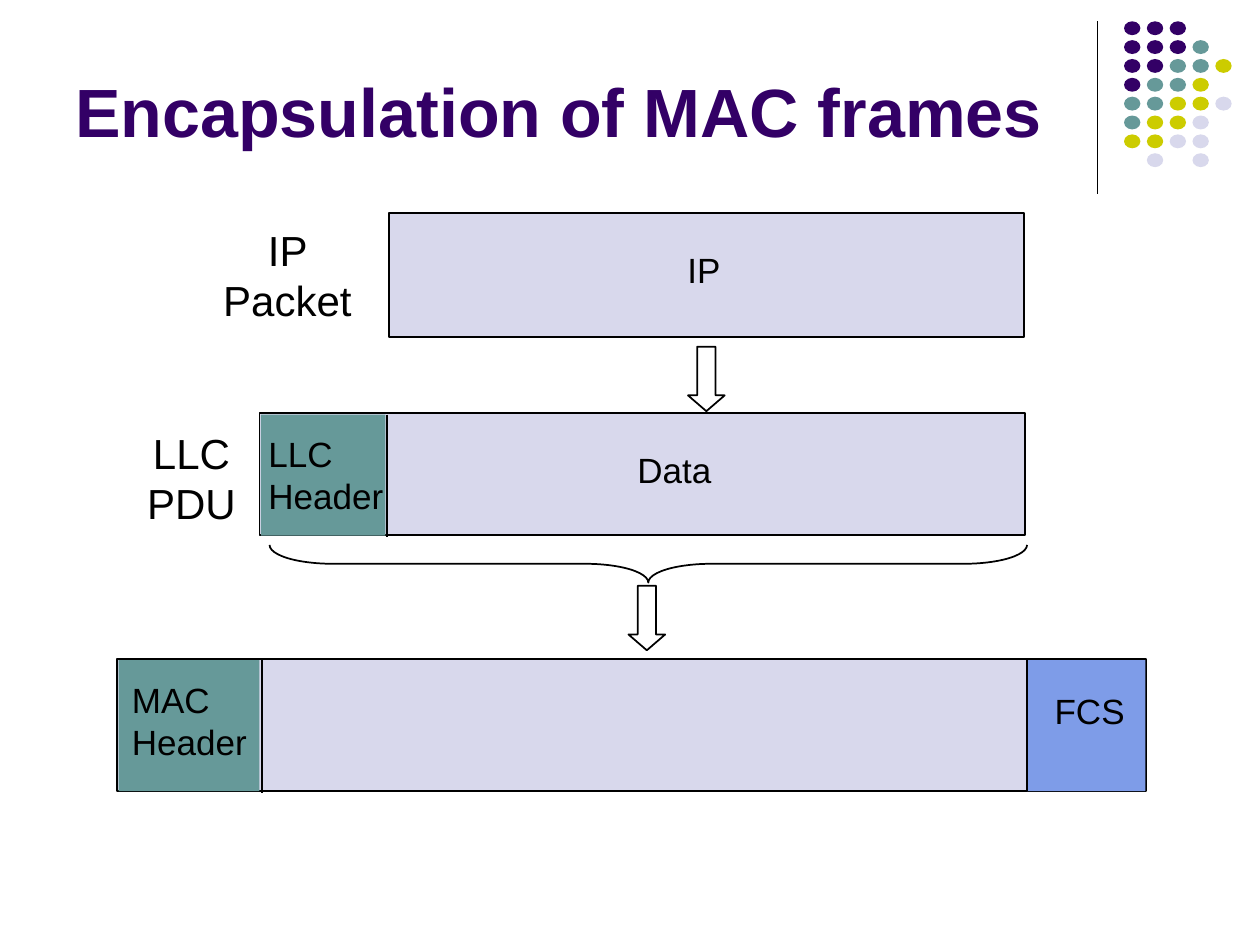
"""Build a slide on how IP packets are encapsulated in MAC frames."""
from lxml.etree import SubElement
from pptx import Presentation
from pptx.dml.color import RGBColor
from pptx.enum.shapes import MSO_CONNECTOR as CONNECTOR, MSO_SHAPE as SHAPE
from pptx.enum.text import MSO_ANCHOR as ANCHOR, PP_ALIGN as ALIGN
from pptx.oxml.ns import qn
from pptx.util import Cm, Pt

BLACK = RGBColor(0x00, 0x00, 0x00)
WHITE = RGBColor(0xFF, 0xFF, 0xFF)
PURPLE = RGBColor(0x33, 0x00, 0x66)
TEAL = RGBColor(0x66, 0x99, 0x99)
OLIVE = RGBColor(0xCC, 0xCC, 0x00)
LAVENDER = RGBColor(0xD8, 0xD8, 0xEC)
BLUE = RGBColor(0x7E, 0x9C, 0xE8)

presentation = Presentation()
presentation.slide_width = Cm(25.4)
presentation.slide_height = Cm(19.05)
slide = presentation.slides.add_slide(presentation.slide_layouts[6])


def add_figure(kind, box, fill=None, outlined=False):
    figure = slide.shapes.add_shape(kind, *map(Cm, box))
    figure.shadow.inherit = False
    if fill is None:
        figure.fill.background()
    else:
        figure.fill.solid()
        figure.fill.fore_color.rgb = fill
    if outlined:
        figure.line.color.rgb = BLACK
        figure.line.width = Pt(1)
    else:
        figure.line.fill.background()
    return figure


def add_label(text, box, size, color=BLACK, anchor=ANCHOR.TOP, wrap=True):
    frame = slide.shapes.add_textbox(*map(Cm, box)).text_frame
    frame.word_wrap = wrap
    frame.vertical_anchor = anchor
    frame.text = text
    font = frame.paragraphs[0].runs[0].font
    font.name = "Arial"
    font.size = Pt(size)
    font.color.rgb = color
    return frame.paragraphs[0]


dot_colors = {"P": PURPLE, "T": TEAL, "O": OLIVE, "L": LAVENDER}
dot_rows = ["PPP", "PPPT", "PPTTO", "PTTO", "TTOOL", "TOOL", "OOLL", " L L"]
for row, pattern in enumerate(dot_rows):
    for column, key in enumerate(pattern):
        if key in dot_colors:
            dot = (22.66 + 0.46 * column, 0.43 + 0.38 * row, 0.33, 0.28)
            add_figure(SHAPE.OVAL, dot, dot_colors[key])

title = add_label("Encapsulation of MAC frames", (1.27, 0.33, 20.96, 2.84), 39,
                  PURPLE, ANCHOR.BOTTOM)
title.runs[0].font.bold = True

fields = [
    ((7.85, 4.29, 12.8, 2.51), LAVENDER, True),
    ((5.23, 8.33, 15.44, 2.46), LAVENDER, True),
    ((5.26, 8.36, 2.51, 2.44), TEAL, False),
    ((2.36, 13.28, 20.75, 2.67), LAVENDER, True),
    ((20.7, 13.31, 2.39, 2.64), BLUE, False),
    ((2.39, 13.31, 2.84, 2.64), TEAL, False),
]
for box, fill, outlined in fields:
    add_figure(SHAPE.RECTANGLE, box, fill, outlined)

dividers = [
    (22.12, 0.43, 3.91, 0.75),
    (7.8, 8.36, 10.82, 1),
    (5.28, 13.31, 15.98, 1),
    (20.7, 13.31, 15.95, 1),
]
for x, top, bottom, width in dividers:
    divider = slide.shapes.add_connector(
        CONNECTOR.STRAIGHT, Cm(x), Cm(top), Cm(x), Cm(bottom))
    divider.line.color.rgb = BLACK
    divider.line.width = Pt(width)
    SubElement(divider._element.spPr, qn("a:effectLst"))

for left, top in [(13.87, 6.99), (12.67, 11.81)]:
    arrow = add_figure(SHAPE.DOWN_ARROW, (left, top, 0.74, 1.3), WHITE, True)
    arrow.adjustments[0] = 0.5
    arrow.adjustments[1] = 0.43

brace = add_figure(SHAPE.LEFT_BRACE, (12.69, 3.73, 0.76, 15.27), outlined=True)
brace.rotation = 270
brace.adjustments[0] = 1.67

field_names = [
    ("IP", (13.61, 4.88, 1.17, 1.09), False),
    ("LLC Header", (5.16, 8.59, 2.97, 1.93), True),
    ("Data", (12.6, 8.92, 2.01, 1.09), False),
    ("MAC Header", (2.41, 13.56, 3.15, 1.93), True),
    ("FCS", (21.01, 13.77, 1.93, 1.09), False),
]
for name, box, wrap in field_names:
    add_label(name, box, 20, wrap=wrap)

unit_names = [
    ("LLC PDU", (2.26, 8.48, 3.2, 2.29)),
    ("IP Packet", (4.04, 4.39, 3.51, 2.29)),
]
for name, box in unit_names:
    unit = add_label(name, box, 24, anchor=ANCHOR.MIDDLE)
    unit.alignment = ALIGN.CENTER
    unit.space_before = Pt(15)

presentation.save("out.pptx")
